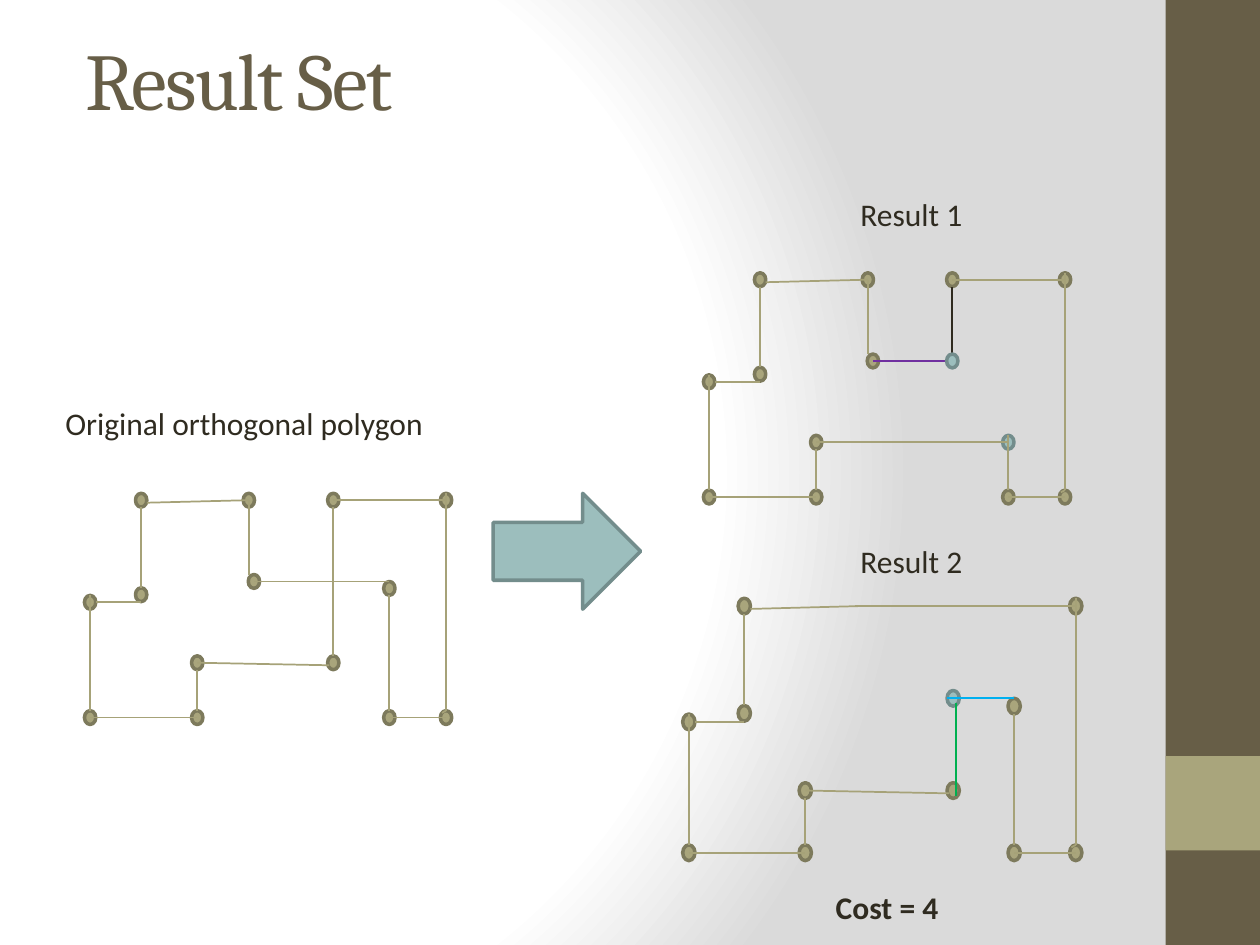
"""Build the slide that sets an orthogonal polygon beside its two results."""
from dataclasses import dataclass
from typing import NamedTuple

import lxml.etree
import pptx
import pptx.dml.color
import pptx.enum.shapes
import pptx.enum.text
import pptx.oxml
import pptx.oxml.ns
import pptx.util

COLORS = {
    "brown": "675E47", "khaki": "A9A57C", "khaki_edge": "7D7A5C",
    "teal": "9CBEBD", "teal_edge": "738D8C", "line": "A6A278",
    "ink": "2F2B20", "purple": "7030A0", "blue": "00B0F0", "green": "00B050",
    "white": "FFFFFF", "gray": "DADADA",
}
CELL = 0.25
COLUMNS, ROWS = 40, 30
RADIUS_X, RADIUS_Y = 0.18, 0.22
B, C, D, NOTCH, E, F, G = 1.62, 3.4, 5.04, 5.2, 7.72, 9.5, 11.3
INNER, SHOULDER, STEP, LEDGE, SHELF, BASE = 2.58, 2.8, 3, 3.24, 5.16, 6.9
SHAPES = pptx.enum.shapes.MSO_SHAPE
ALIGN = pptx.enum.text.PP_ALIGN
ANCHOR = pptx.enum.text.MSO_ANCHOR


class Box(NamedTuple):
    """Hold left, top, width and height in grid cells."""
    left: float
    top: float
    width: float
    height: float


class Vertex(NamedTuple):
    """Hold the centre of a polygon corner."""
    x: float
    y: float
    color: str = "khaki"


class Edge(NamedTuple):
    """Hold the two ends of a polygon side."""
    x1: float
    y1: float
    x2: float
    y2: float
    color: str = "line"


@dataclass
class Polygon:
    """Describe a polygon by its origin, scale and own parts."""
    left: float
    top: float
    vertices: list[Vertex]
    edges: list[Edge]
    front: list[Vertex]
    scale_x: float = 1
    scale_y: float = 1


COMMON_VERTICES = [
    Vertex(B, 0), Vertex(G, 0), Vertex(B, STEP), Vertex(0, LEDGE), Vertex(0, BASE),
    Vertex(C, BASE), Vertex(C, SHELF), Vertex(F, BASE), Vertex(G, BASE),
]
COMMON_EDGES = [
    Edge(D, 0, B + RADIUS_X, 0.08),
    Edge(B, RADIUS_Y, B, STEP - RADIUS_Y),
    Edge(B, LEDGE, RADIUS_X, LEDGE),
    Edge(0, LEDGE - RADIUS_Y, 0, BASE - RADIUS_Y),
    Edge(0, BASE, C, BASE),
    Edge(C, BASE - RADIUS_Y, C, SHELF + RADIUS_Y),
    Edge(E, 0, G, 0),
    Edge(G, -RADIUS_Y, G, BASE - RADIUS_Y),
    Edge(G, BASE - RADIUS_Y, G - 0.13, BASE - 0.15),
    Edge(G, BASE, F, BASE),
]
NOTCH_VERTICES = [Vertex(D, 0), Vertex(E, 0), Vertex(NOTCH, INNER)]
NOTCH_SIDE = Edge(D, INNER - RADIUS_Y, D, 0)
SHELF_VERTICES = [Vertex(F, SHOULDER), Vertex(E, SHELF)]
SHELF_EDGES = [
    Edge(C, SHELF, E - 0.12, SHELF + 0.08),
    Edge(F, BASE - RADIUS_Y, F, SHOULDER + RADIUS_Y),
]
POLYGONS = [
    Polygon(2.86, 15.88, NOTCH_VERTICES + SHELF_VERTICES, SHELF_EDGES + [
        Edge(E, SHELF - RADIUS_Y, E, RADIUS_Y),
        Edge(F, INNER, NOTCH, INNER),
        NOTCH_SIDE,
    ], []),
    Polygon(22.51, 8.88, NOTCH_VERTICES + [Vertex(F, SHELF, "teal")], [
        Edge(C, SHELF, F, SHELF),
        Edge(E, SHOULDER, E, RADIUS_Y, "ink"),
        Edge(F, BASE - RADIUS_Y, F, SHELF - RADIUS_Y),
        Edge(E + RADIUS_X, INNER, NOTCH, INNER, "purple"),
        NOTCH_SIDE,
    ], [Vertex(E, INNER, "teal")]),
    Polygon(21.87, 19.24, SHELF_VERTICES + [Vertex(E, INNER, "teal")], SHELF_EDGES + [
        Edge(F, INNER, E - RADIUS_X, INNER, "blue"),
        Edge(E + 0.08, SHELF + 0.15, E + 0.08, INNER + 0.12, "green"),
        Edge(D - 0.2, 0, E + 0.15, 0),
    ], [], 1.087, 1.135),
]


def cells(*values: float) -> list[pptx.util.Length]:
    """Turn grid cells into lengths."""
    return [pptx.util.Inches(value * CELL) for value in values]


def rgb(name: str) -> pptx.dml.color.RGBColor:
    """Look up a named colour."""
    return pptx.dml.color.RGBColor.from_string(COLORS[name])


def add_shape(shapes, kind, box: Box, fill: str, edge: str | None = None, rotation: float = 0):
    """Draw a flat preset shape."""
    shape = shapes.add_shape(kind, *cells(*box))
    shape.shadow.inherit = False
    shape.rotation = rotation
    shape.fill.solid()
    shape.fill.fore_color.rgb = rgb(fill)
    if edge:
        shape.line.color.rgb = rgb(edge)
        shape.line.width = pptx.util.Pt(2)
    else:
        shape.line.fill.background()


def write(shape, text: str, *, size: float = 18, font: str = "Calibri", color: str = "ink",
          align=ALIGN.LEFT, anchor=ANCHOR.TOP, bold: bool = False, spacing: float = 0) -> None:
    """Put one formatted line of text into a shape."""
    frame = shape.text_frame
    frame.word_wrap = True
    frame.auto_size = pptx.enum.text.MSO_AUTO_SIZE.NONE
    frame.vertical_anchor = anchor
    paragraph = frame.paragraphs[0]
    paragraph.alignment = align
    run = paragraph.add_run()
    run.text = text
    run.font.size = pptx.util.Pt(size)
    run.font.name = font
    run.font.bold = bold
    run.font.color.rgb = rgb(color)
    if spacing:
        run.font._element.set("spc", str(int(spacing * 100)))


def draw_polygon(slide, polygon: Polygon) -> None:
    """Draw a polygon's corners and sides as one group."""
    shapes = slide.shapes.add_group_shape().shapes

    def place(x: float, y: float) -> tuple[float, float]:
        """Move a local point onto the slide's grid."""
        return polygon.left + x * polygon.scale_x, polygon.top + y * polygon.scale_y

    def draw_vertices(vertices: list[Vertex]) -> None:
        """Draw corners as small ellipses."""
        for x, y, color in vertices:
            box = Box(*place(x - RADIUS_X, y - RADIUS_Y),
                      2 * RADIUS_X * polygon.scale_x, 2 * RADIUS_Y * polygon.scale_y)
            add_shape(shapes, SHAPES.OVAL, box, color, f"{color}_edge")

    draw_vertices(COMMON_VERTICES + polygon.vertices)
    for x1, y1, x2, y2, color in COMMON_EDGES + polygon.edges:
        connector = shapes.add_connector(pptx.enum.shapes.MSO_CONNECTOR.STRAIGHT,
                                         *cells(*place(x1, y1), *place(x2, y2)))
        connector.line.color.rgb = rgb(color)
        connector.line.width = pptx.util.Pt(1)
        lxml.etree.SubElement(connector._element.spPr, pptx.oxml.ns.qn("a:effectLst"))
    draw_vertices(polygon.front)


def set_background(slide) -> None:
    """Fill the background with a radial gradient."""
    slide.background.fill.gradient()
    gradient = slide.background._cSld.find(".//" + pptx.oxml.ns.qn("a:gradFill"))
    stops = "".join(
        f'<a:gs pos="{share * 1000}"><a:srgbClr val="{COLORS[color]}"/></a:gs>'
        for share, color in ((0, "white"), (75, "white"), (100, "gray")))
    gradient.getparent().replace(gradient, pptx.oxml.parse_xml(
        f'<a:gradFill {pptx.oxml.ns.nsdecls("a")} rotWithShape="1"><a:gsLst>{stops}</a:gsLst>'
        '<a:path path="circle"><a:fillToRect l="20000" t="50000" r="100000" b="50000"/>'
        '</a:path></a:gradFill>'))


def main() -> None:
    """Build and save the presentation."""
    presentation = pptx.Presentation()
    presentation.slide_width, presentation.slide_height = cells(COLUMNS, ROWS)
    slide = presentation.slides.add_slide(presentation.slide_layouts[5])
    set_background(slide)
    add_shape(slide.shapes, SHAPES.RECTANGLE, Box(37, 0, 3, ROWS), "brown")
    add_shape(slide.shapes, SHAPES.RECTANGLE, Box(37, 24, 3, 3), "khaki")
    title = slide.shapes.title
    title.left, title.top, title.width, title.height = cells(2.32, -1, 36, 7)
    write(title, "Result Set", size=46, font="Cambria", color="brown",
          anchor=ANCHOR.MIDDLE, spacing=-1)
    for polygon in POLYGONS:
        draw_polygon(slide, polygon)
    for text, box, align, bold in (
        ("Original orthogonal polygon", Box(1.68, 12.64, 13.68, 1.6), ALIGN.LEFT, False),
        (" Result 1", Box(22.32, 6, 13, 1.6), ALIGN.CENTER, False),
        (" Result 2", Box(22.32, 17, 13, 1.6), ALIGN.CENTER, False),
        ("Cost = 4", Box(20.32, 28, 15.68, 1.6), ALIGN.CENTER, True),
    ):
        write(slide.shapes.add_textbox(*cells(*box)), text, align=align, bold=bold)
    add_shape(slide.shapes, SHAPES.DOWN_ARROW, Box(16.16, 15.16, 3.68, 4.68),
              "teal", "teal_edge", 270)
    presentation.save("out.pptx")


if __name__ == "__main__":
    main()
